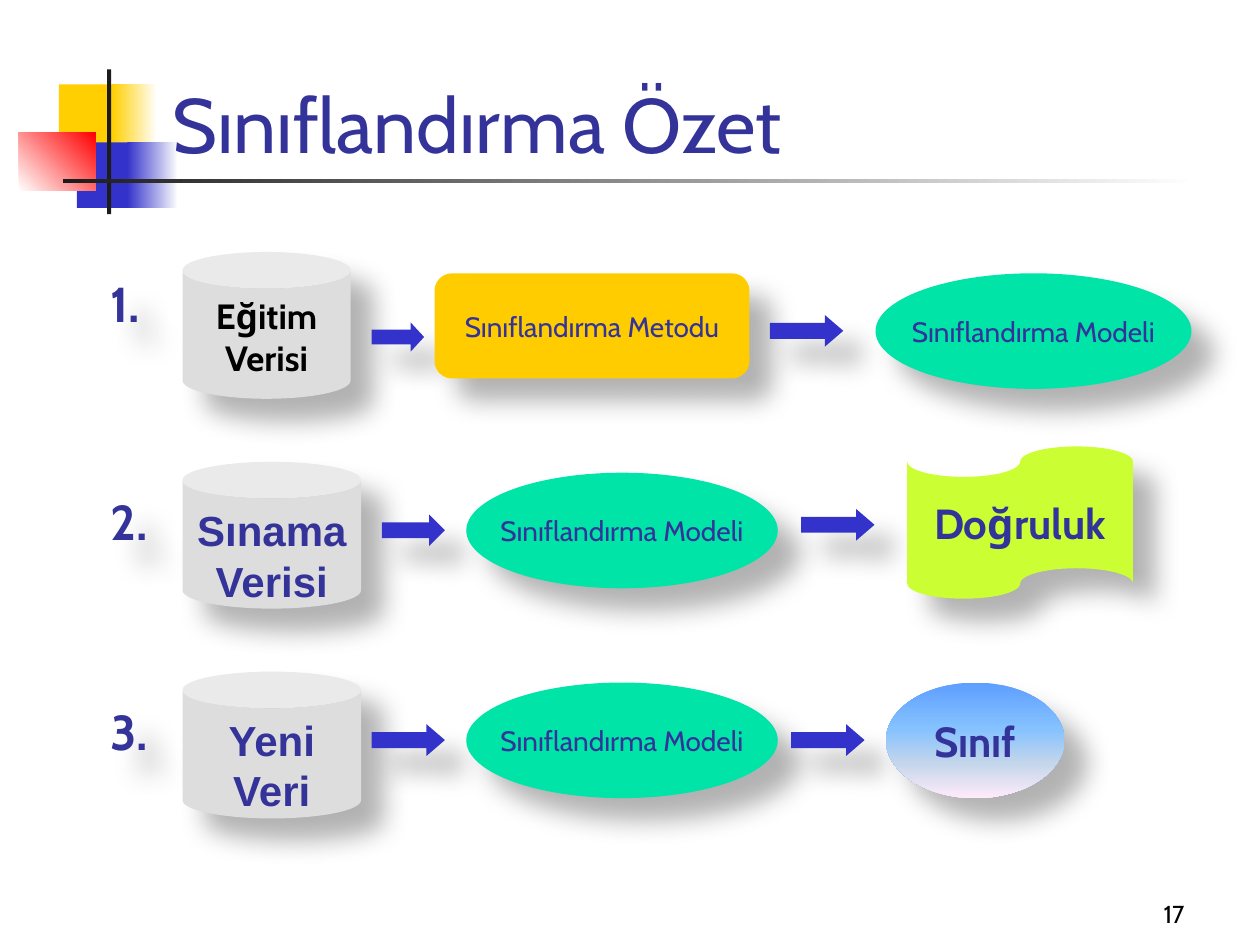
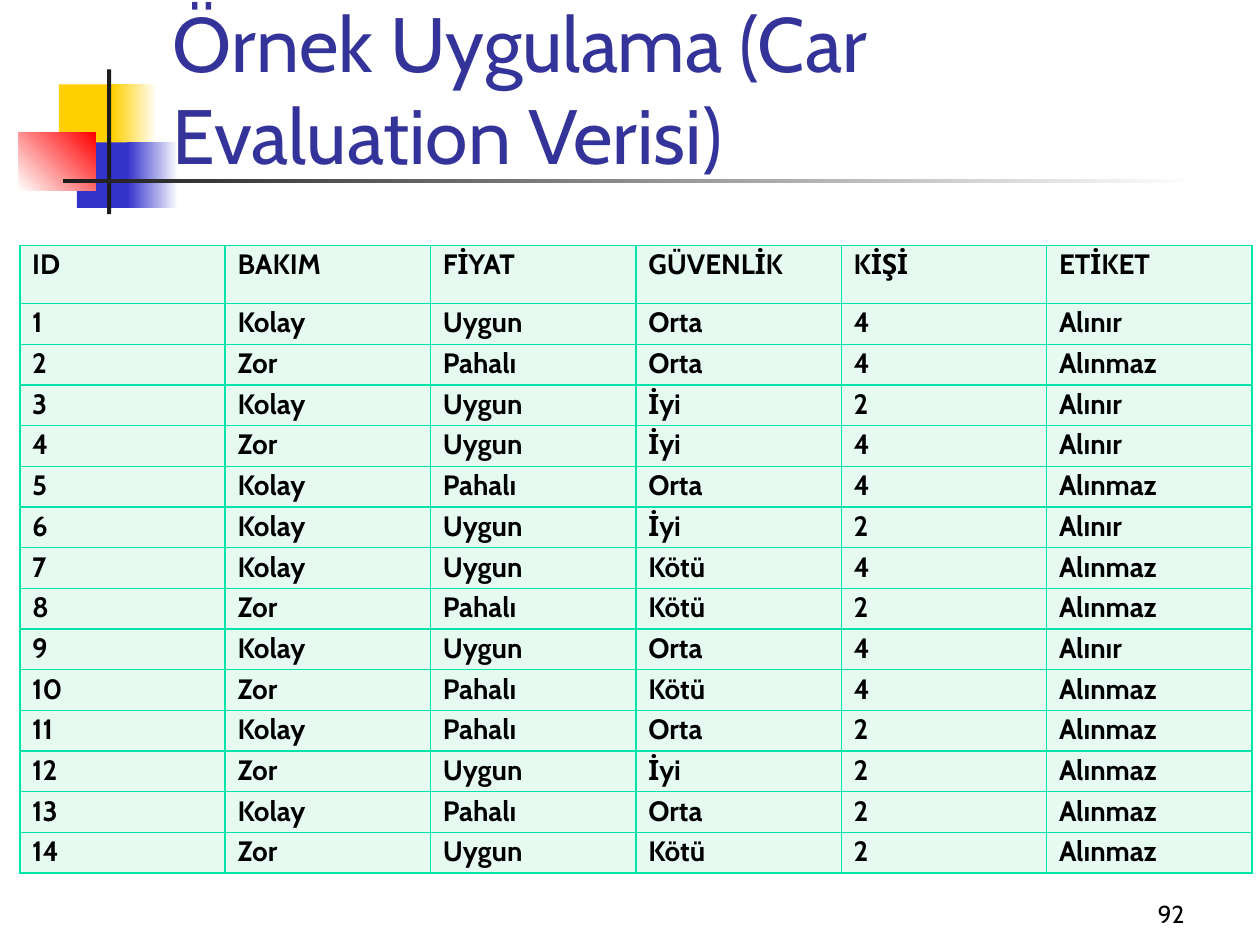
from dataclasses import dataclass

from pptx import Presentation
from pptx.dml.color import RGBColor
from pptx.enum.shapes import MSO_SHAPE
from pptx.enum.text import MSO_ANCHOR, MSO_AUTO_SIZE, PP_ALIGN
from pptx.oxml import parse_xml
from pptx.oxml.ns import nsdecls, qn
from pptx.util import Cm, Pt

RECT = MSO_SHAPE.RECTANGLE
ROUND_RECT = MSO_SHAPE.ROUNDED_RECTANGLE
CAN = MSO_SHAPE.CAN
ARROW = MSO_SHAPE.RIGHT_ARROW
ELLIPSE = MSO_SHAPE.OVAL
TAPE = MSO_SHAPE.FLOWCHART_PUNCHED_TAPE
TOP, MIDDLE, BOTTOM = MSO_ANCHOR.TOP, MSO_ANCHOR.MIDDLE, MSO_ANCHOR.BOTTOM
LEFT, CENTER, RIGHT = PP_ALIGN.LEFT, PP_ALIGN.CENTER, PP_ALIGN.RIGHT
FIT_SHAPE, NO_FIT = MSO_AUTO_SIZE.SHAPE_TO_FIT_TEXT, MSO_AUTO_SIZE.NONE

FONT = "Cabin"
NAVY, BLUE, BLACK, WHITE = "333399", "3333CC", "000000", "FFFFFF"
YELLOW, ORANGE, RED, DARK = "FFCF01", "FFCC00", "FF0000", "1C1C1C"
GREY, GREEN, LIME, MINT = "DDDDDD", "00E4A8", "CCFF33", "E7FAF1"


@dataclass(frozen=True)
class Gradient:
    """Colour stops as (percent, colour); angle in clockwise degrees."""
    stops: tuple[tuple[int, str], ...]
    angle: int = 0


@dataclass(frozen=True)
class Style:
    size: int
    color: str = NAVY
    bold: bool = False
    font: str = FONT


@dataclass(frozen=True)
class Box:
    """A filled shape; lengths in centimetres."""
    kind: MSO_SHAPE
    left: float
    top: float
    width: float
    height: float
    fill: str | Gradient
    text: str = ""
    style: Style = Style(16)
    adjust: tuple[float, ...] = ()


@dataclass(frozen=True)
class Step:
    """A numbered row; tops of its boxes are measured from the row's top."""
    number: str
    number_top: float
    boxes: tuple[Box, ...]


def fade(start: str, end: str, angle: int = 0) -> Gradient:
    return Gradient(((0, start), (100, end)), angle)


def arrow(left: float, top: float, width: float = 1.48, height: float = 0.64,
          head: float = 0.58) -> Box:
    return Box(ARROW, left, top, width, height, BLUE, adjust=(0.5, head))


def model(left: float, top: float, width: float = 6.28) -> Box:
    return Box(ELLIPSE, left, top, width, 2.33, GREEN, "Sınıflandırma Modeli")


def can(width: float, text: str, style: Style) -> Box:
    return Box(CAN, 3.68, 0, width, 2.96, GREY, text, style)


TITLE = Style(44)
PAGE_NUMBER = Style(14, BLACK)
STEP_NUMBER = Style(28, bold=True)
RESULT = Style(24, bold=True)
DATA = Style(24, bold=True, font="Arial")
CELL = Style(16, BLACK, True)
SKY = Gradient(((0, "5E9EFF"), (40, "85C2FF"), (70, "C4D6EB"), (100, "FFEBFA")), 90)

DECORATION = (
    Box(RECT, 1.19, 1.7, 1.22, 1.32, YELLOW),
    Box(RECT, 2.26, 1.7, 0.91, 1.32, fade(YELLOW, WHITE)),
    Box(RECT, 1.55, 2.87, 1.17, 1.32, BLUE),
    Box(RECT, 2.57, 2.87, 1.02, 1.32, fade(BLUE, WHITE)),
    Box(RECT, 0.38, 2.67, 1.55, 1.17, fade(WHITE, RED, 315)),
    Box(RECT, 2.16, 1.4, 0.08, 2.92, DARK),
    Box(RECT, 1.27, 3.61, 22.86, 0.09, fade(DARK, WHITE)),
)

STEPS_TOP, STEP_PITCH = 5.08, 4.23
STEPS = (
    Step("1.", 0.3, (
        can(3.39, "Eğitim Verisi", Style(20, BLACK, True)),
        arrow(7.49, 1.42, 1.06, 0.59, 0.46),
        Box(ROUND_RECT, 8.76, 0.43, 6.35, 2.12, ORANGE, "Sınıflandırma Metodu"),
        arrow(15.52, 1.27),
        model(17.65, 0.43, 6.37),
    )),
    Step("2.", 0.47, (
        can(3.6, "Sınama Verisi", DATA),
        arrow(7.7, 1.06, 1.27, head=0.5),
        model(9.4, 0.22),
        arrow(16.15, 0.95),
        Box(TAPE, 18.29, -0.31, 4.55, 3.07, LIME, "Doğruluk", RESULT),
    )),
    Step("3.", 0.47, (
        can(3.6, "Yeni Veri", DATA),
        arrow(7.49, 1.06),
        model(9.4, 0.22),
        arrow(15.95, 1.06),
        Box(ELLIPSE, 17.86, 0.22, 3.6, 2.33, SKY, "Sınıf", RESULT),
    )),
)

CAR_HEADER = ("ID", "BAKIM", "FİYAT", "GÜVENLİK", "KİŞİ", "ETİKET")
CARS = (
    ("Kolay", "Uygun", "Orta", "4", "Alınır"),
    ("Zor", "Pahalı", "Orta", "4", "Alınmaz"),
    ("Kolay", "Uygun", "İyi", "2", "Alınır"),
    ("Zor", "Uygun", "İyi", "4", "Alınır"),
    ("Kolay", "Pahalı", "Orta", "4", "Alınmaz"),
    ("Kolay", "Uygun", "İyi", "2", "Alınır"),
    ("Kolay", "Uygun", "Kötü", "4", "Alınmaz"),
    ("Zor", "Pahalı", "Kötü", "2", "Alınmaz"),
    ("Kolay", "Uygun", "Orta", "4", "Alınır"),
    ("Zor", "Pahalı", "Kötü", "4", "Alınmaz"),
    ("Kolay", "Pahalı", "Orta", "2", "Alınmaz"),
    ("Zor", "Uygun", "İyi", "2", "Alınmaz"),
    ("Kolay", "Pahalı", "Orta", "2", "Alınmaz"),
    ("Zor", "Uygun", "Kötü", "2", "Alınmaz"),
)


def rgb(color: str) -> RGBColor:
    return RGBColor.from_string(color)


def write(tf, text: str, style: Style, align=LEFT, anchor=TOP, wrap: bool = True) -> None:
    tf.word_wrap = wrap
    tf.vertical_anchor = anchor
    p = tf.paragraphs[0]
    p.alignment = align
    r = p.add_run()
    r.text = text
    r.font.name = style.font
    r.font.size = Pt(style.size)
    r.font.bold = style.bold
    r.font.color.rgb = rgb(style.color)


def paint(s, fill: str | Gradient) -> None:
    if isinstance(fill, str):
        s.fill.solid()
        s.fill.fore_color.rgb = rgb(fill)
        return
    s.fill.gradient()
    stops = "".join(f'<a:gs pos="{pos * 1000}"><a:srgbClr val="{color}"/></a:gs>'
                    for pos, color in fill.stops)
    grad = s.element.spPr.find(qn("a:gradFill"))
    grad.getparent().replace(grad, parse_xml(
        f'<a:gradFill {nsdecls("a")} rotWithShape="1"><a:gsLst>{stops}</a:gsLst>'
        f'<a:lin ang="{fill.angle * 60000}" scaled="0"/></a:gradFill>'))


def cast_shadow(s) -> None:
    s.shadow.inherit = False
    s.element.spPr.find(qn("a:effectLst")).append(parse_xml(
        f'<a:outerShdw {nsdecls("a")} blurRad="{Pt(15)}" dist="{Pt(18)}" '
        f'dir="{45 * 60000}" algn="ctr" rotWithShape="0"><a:srgbClr val="{BLACK}">'
        '<a:alpha val="30000"/></a:srgbClr></a:outerShdw>'))


def add_box(slide, box: Box, row_top: float = 0, shadow: bool = False) -> None:
    s = slide.shapes.add_shape(box.kind, Cm(box.left), Cm(row_top + box.top),
                               Cm(box.width), Cm(box.height))
    for i, value in enumerate(box.adjust):
        s.adjustments[i] = value
    paint(s, box.fill)
    s.line.fill.background()
    s.shadow.inherit = False
    if shadow:
        cast_shadow(s)
    if box.text:
        is_can = box.kind == CAN
        write(s.text_frame, box.text, box.style, CENTER, TOP if is_can else MIDDLE, is_can)


def add_base_slide(prs, title: str, title_top: float, page: str):
    """Add a slide with the shared decoration, title and page number."""
    slide = prs.slides.add_slide(prs.slide_layouts[5])
    for box in DECORATION:
        add_box(slide, box)
    s = slide.shapes.title
    s.left, s.top, s.width, s.height = Cm(3.23), Cm(title_top), Cm(21.64), Cm(3.18)
    s.text_frame.auto_size = NO_FIT
    write(s.text_frame, title, TITLE, anchor=BOTTOM)
    tree = s.element.getparent()
    tree.remove(s.element)
    tree.append(s.element)
    number = slide.shapes.add_textbox(Cm(18.85), Cm(17.58), Cm(5.28), Cm(1.27))
    write(number.text_frame, page, PAGE_NUMBER, RIGHT, BOTTOM)
    return slide


def add_step(slide, step: Step, top: float) -> None:
    s = slide.shapes.add_textbox(Cm(1.98), Cm(top + step.number_top), Cm(1.45), Cm(1.45))
    write(s.text_frame, step.number, STEP_NUMBER, wrap=False)
    s.text_frame.auto_size = FIT_SHAPE
    cast_shadow(s)
    for box in step.boxes:
        add_box(slide, box, top, shadow=True)


def format_cell(cell, text: str) -> None:
    cell.margin_left = cell.margin_right = Cm(0.25)
    cell.margin_top = cell.margin_bottom = Cm(0.05)
    write(cell.text_frame, text, CELL)
    cell.vertical_anchor = TOP
    tc_pr = cell._tc.get_or_add_tcPr()
    for side in "LRTB":
        tc_pr.append(parse_xml(
            f'<a:ln{side} {nsdecls("a")} w="{Pt(1)}"><a:solidFill>'
            f'<a:srgbClr val="{GREEN}"/></a:solidFill></a:ln{side}>'))
    cell.fill.solid()
    cell.fill.fore_color.rgb = rgb(MINT)


def add_car_table(slide) -> None:
    rows = [CAR_HEADER, *((str(i), *car) for i, car in enumerate(CARS, 1))]
    column_width, header_height, row_height = 4.14, 1.17, 0.82
    table = slide.shapes.add_table(
        len(rows), len(CAR_HEADER), Cm(0.4), Cm(4.95), Cm(column_width * len(CAR_HEADER)),
        Cm(header_height + row_height * len(CARS))).table
    table.first_row = table.horz_banding = False
    for column in table.columns:
        column.width = Cm(column_width)
    for i, values in enumerate(rows):
        table.rows[i].height = Cm(row_height if i else header_height)
        for j, value in enumerate(values):
            format_cell(table.cell(i, j), value)


def main() -> None:
    prs = Presentation()
    prs.slide_width, prs.slide_height = Cm(25.4), Cm(19.05)

    summary = add_base_slide(prs, "Sınıflandırma Özet", 0.36, "17")
    for i, step in enumerate(STEPS):
        add_step(summary, step, STEPS_TOP + i * STEP_PITCH)

    example = add_base_slide(prs, "Örnek Uygulama (Car Evaluation Verisi)", 0.58, "92")
    add_car_table(example)

    prs.save("out.pptx")


if __name__ == "__main__":
    main()
